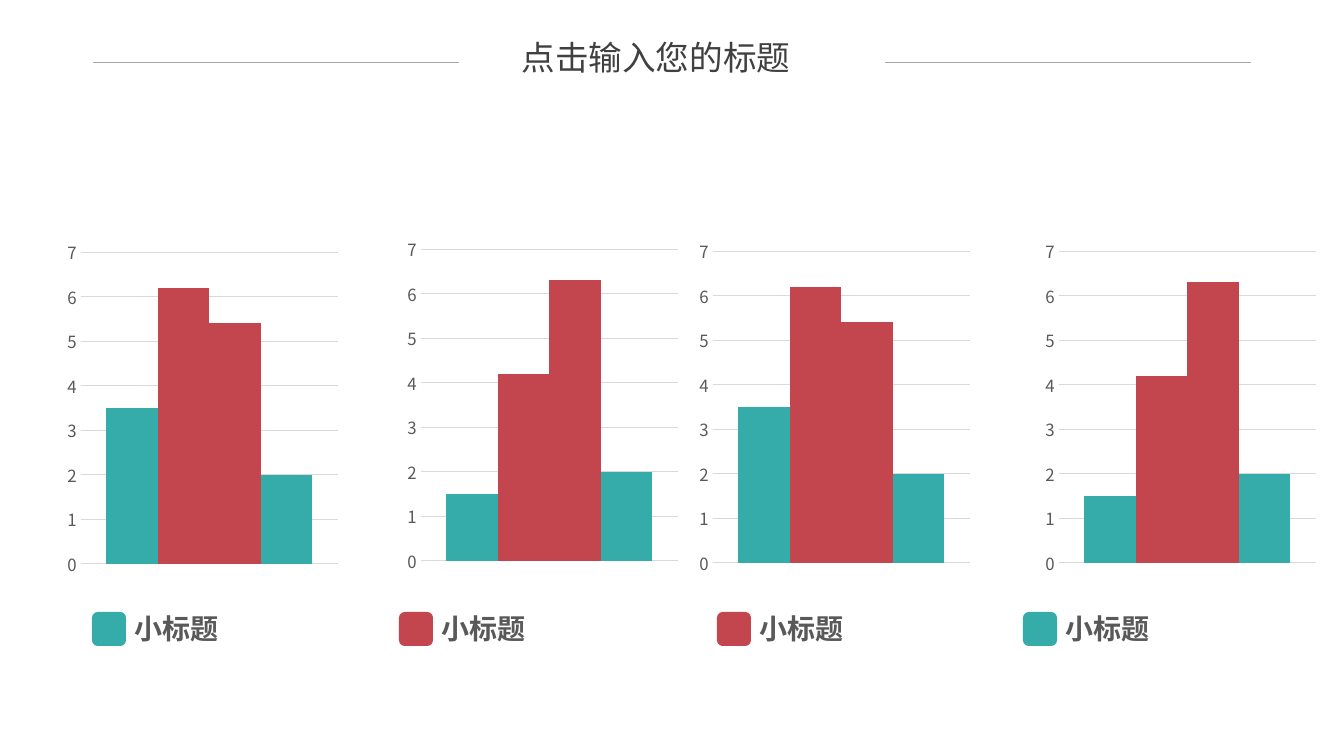
"""Build a slide with four small column charts and their captions."""
import pptx
import pptx.chart.data
import pptx.dml.color
import pptx.enum.chart
import pptx.enum.shapes
import pptx.enum.text
import pptx.oxml
import pptx.oxml.ns
import pptx.util

WIDE, HIGH = 1344, 756
SCALE = 12192000 / WIDE
FONT = "Noto Sans CJK JP"
COLORS = {"teal": "35ACA9", "red": "C3454E", "title": "404040",
          "text": "595959", "grid": "D9D9D9", "rule": "A6A6A6"}
BARS = ["teal", "red", "red", "teal"]
RISE = [1.5, 4.2, 6.3, 2]
FALL = [3.5, 6.2, 5.4, 2]
PANELS = [
    (61, 233, FALL, 92, "teal"),
    (401, 230, RISE, 399, "red"),
    (693, 232, FALL, 717, "red"),
    (1039, 232, RISE, 1023, "teal"),
]


def px(*nums):
    """Turn pixel lengths into EMU."""
    return [pptx.util.Emu(round(num * SCALE)) for num in nums]


def rgb(name):
    """Look up a named colour."""
    return pptx.dml.color.RGBColor.from_string(COLORS[name])


def paint(fill, name):
    """Fill with a solid named colour."""
    fill.solid()
    fill.fore_color.rgb = rgb(name)


def style(font, size, color, bold=False):
    """Set size, face and colour of a font."""
    font.size = pptx.util.Pt(size)
    font.name = FONT
    font.bold = bold
    font.color.rgb = rgb(color)


def write(shape, text, size, color, bold=False):
    """Put one styled line of text in a shape."""
    para = shape.text_frame.paragraphs[0]
    para.text = text
    run = para.runs[0]
    style(run.font, size, color, bold)
    face = pptx.oxml.parse_xml(
        f'<a:ea {pptx.oxml.ns.nsdecls("a")} typeface="{FONT}"/>')
    run.font._element.find(pptx.oxml.ns.qn("a:latin")).addnext(face)
    return para


def add_title(slide, text):
    """Place the title between its two rules."""
    title = slide.shapes.title
    title.left, title.top, title.width, title.height = px(450, 37, 412, 40)
    frame = title.text_frame
    frame.margin_left = frame.margin_right = 0
    frame.margin_top = frame.margin_bottom = 0
    frame.word_wrap = True
    frame.auto_size = pptx.enum.text.MSO_AUTO_SIZE.SHAPE_TO_FIT_TEXT
    frame.vertical_anchor = pptx.enum.text.MSO_ANCHOR.MIDDLE
    para = write(title, text, 24, "title")
    para.alignment = pptx.enum.text.PP_ALIGN.CENTER


def add_rule(slide, left):
    """Draw a thin level line beside the title."""
    kind = pptx.enum.shapes.MSO_CONNECTOR.STRAIGHT
    line = slide.shapes.add_connector(kind, *px(left, 62, left + 366, 62))
    line.line.color.rgb = rgb("rule")
    line.line.width = pptx.util.Pt(0.5)
    line._element.spPr.append(pptx.oxml.parse_xml(
        f'<a:effectLst {pptx.oxml.ns.nsdecls("a")}/>'))


def add_chart(slide, left, top, vals):
    """Add a column chart with one bar for each series."""
    data = pptx.chart.data.CategoryChartData()
    data.categories = ["1"]
    for num, val in enumerate(vals, 1):
        data.add_series(f"Series {num}", [val])
    kind = pptx.enum.chart.XL_CHART_TYPE.COLUMN_CLUSTERED
    chart = slide.shapes.add_chart(
        kind, *px(left, top, 281, 351), data).chart
    chart.has_legend = chart.has_title = False
    chart.font.size = pptx.util.Pt(10)
    chart.font.name = FONT
    chart.category_axis.visible = False
    axis = chart.value_axis
    axis.minimum_scale, axis.maximum_scale, axis.major_unit = 0, 7, 1
    axis.major_tick_mark = pptx.enum.chart.XL_TICK_MARK.NONE
    axis.format.line.fill.background()
    style(axis.tick_labels.font, 12, "text")
    grid = axis.major_gridlines.format.line
    grid.color.rgb = rgb("grid")
    grid.width = pptx.util.Pt(0.75)
    plot = chart.plots[0]
    plot.gap_width, plot.overlap = 100, 0
    plot.vary_by_categories = False
    for series, name in zip(plot.series, BARS):
        paint(series.format.fill, name)
    set_plot(chart)


def set_plot(chart):
    """Fix the inner plot area as shares of the chart."""
    area = chart._chartSpace.chart.plotArea
    for old in area.findall(pptx.oxml.ns.qn("c:layout")):
        area.remove(old)
    spots = {"x": 0.07, "y": 0.055, "w": 0.915, "h": 0.888}
    modes = '<c:xMode val="edge"/><c:yMode val="edge"/>'
    sizes = "".join(f'<c:{key} val="{val}"/>' for key, val in spots.items())
    area.insert(0, pptx.oxml.parse_xml(
        f'<c:layout {pptx.oxml.ns.nsdecls("c")}><c:manualLayout>'
        f'<c:layoutTarget val="inner"/>{modes}{sizes}'
        '</c:manualLayout></c:layout>'))


def add_label(slide, left, color, text):
    """Add a rounded colour key and its caption."""
    kind = pptx.enum.shapes.MSO_SHAPE.ROUNDED_RECTANGLE
    key = slide.shapes.add_shape(kind, *px(left, 612, 34, 34))
    key.shadow.inherit = False
    paint(key.fill, color)
    key.line.fill.background()
    box = slide.shapes.add_textbox(*px(left + 33, 607, 251, 44))
    box.text_frame.word_wrap = True
    box.text_frame.auto_size = pptx.enum.text.MSO_AUTO_SIZE.SHAPE_TO_FIT_TEXT
    write(box, text, 20, "text", True)


def main():
    """Build and save the slide."""
    deck = pptx.Presentation()
    deck.slide_width, deck.slide_height = px(WIDE, HIGH)
    slide = deck.slides.add_slide(deck.slide_layouts[5])
    add_title(slide, "点击输入您的标题")
    for left in (93, 885):
        add_rule(slide, left)
    for left, top, vals, key, color in PANELS:
        add_chart(slide, left, top, vals)
        add_label(slide, key, color, "小标题")
    deck.save("out.pptx")


if __name__ == "__main__":
    main()
